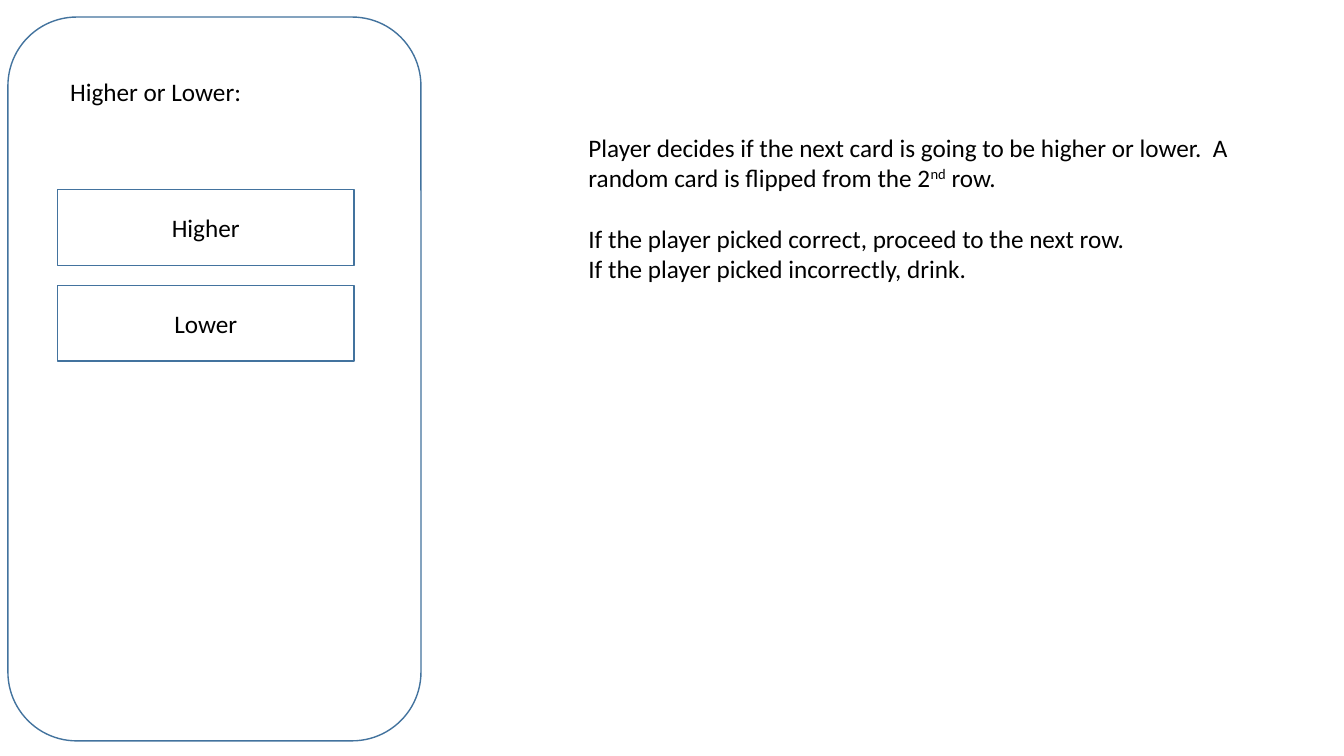
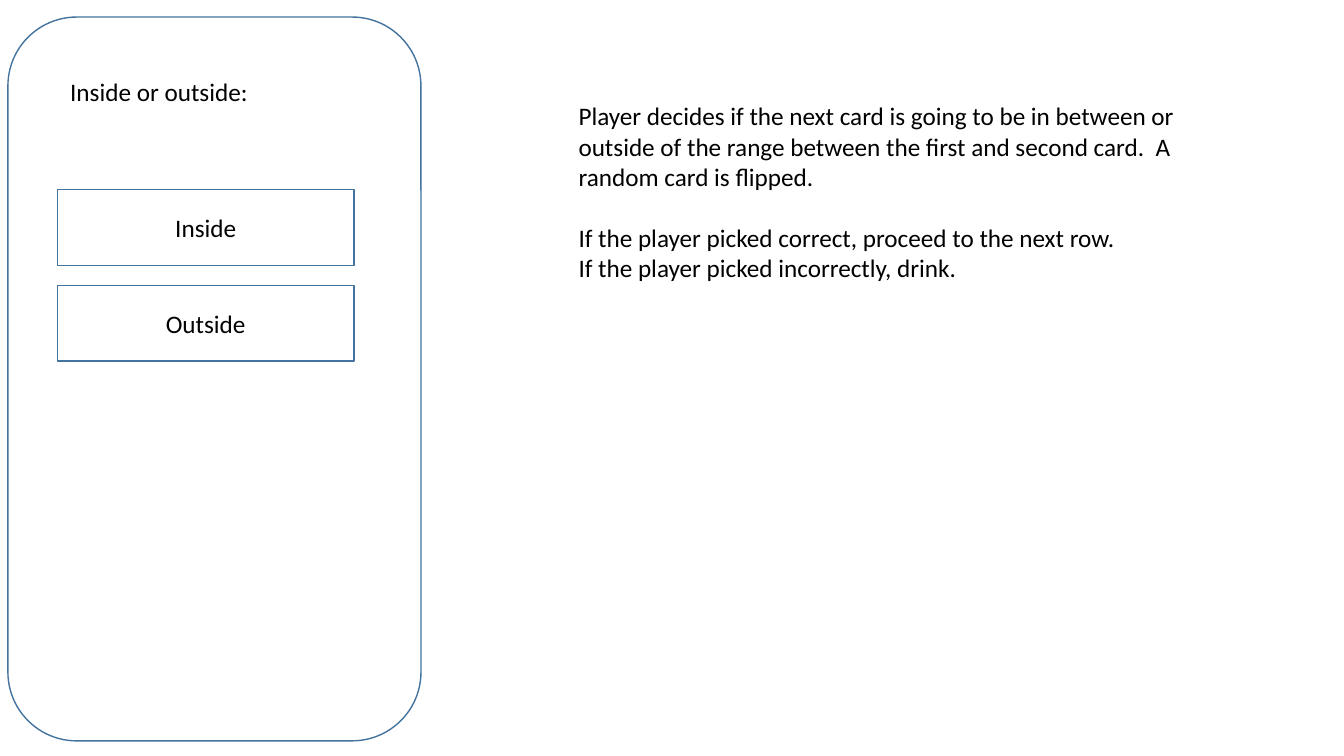
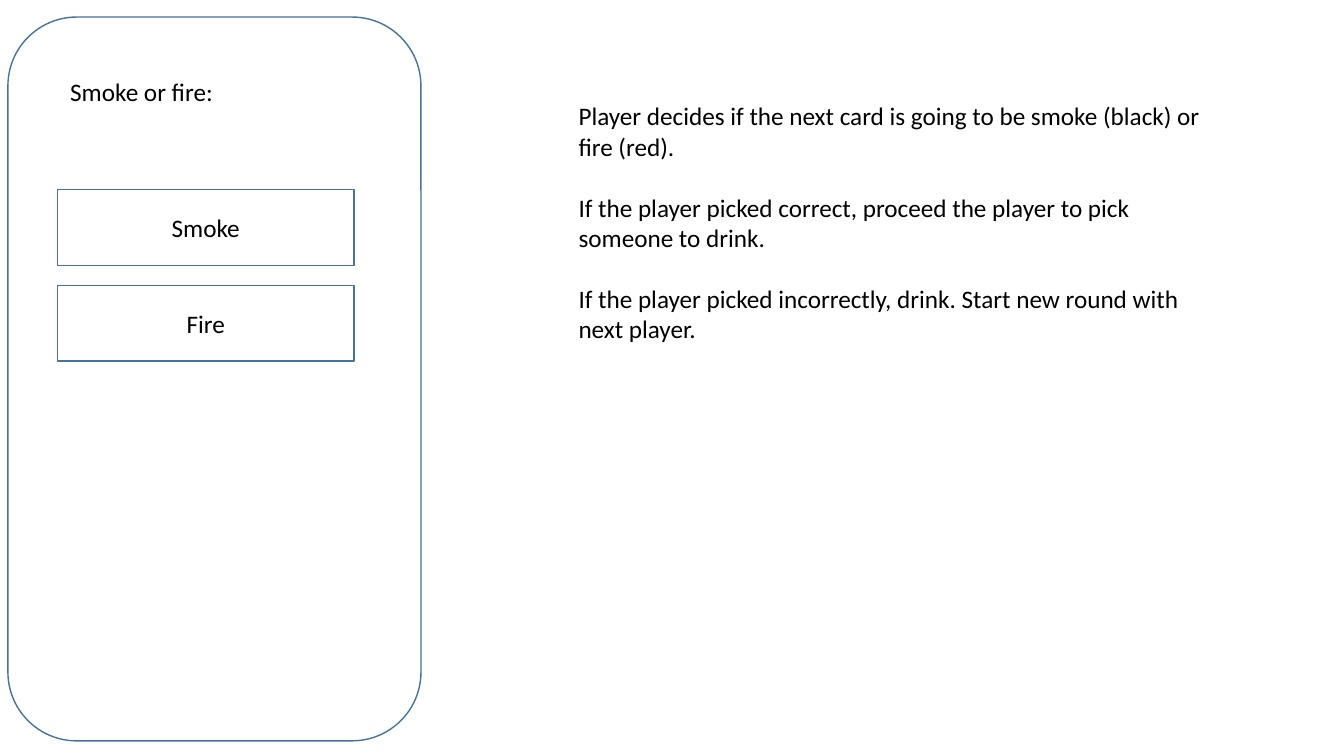
"""Build the card game screens, each with its rules beside it."""
from dataclasses import dataclass
from typing import NamedTuple

from pptx import Presentation
from pptx.dml.color import RGBColor
from pptx.enum import shapes, text
from pptx.util import Cm, Pt


@dataclass(frozen=True)
class Theme:
    font: str = "Calibri"
    size: float = 18
    paragraph_gap: float = 22
    superscript: str = "30000"
    outline_width: float = 1
    ink: RGBColor = RGBColor(0x00, 0x00, 0x00)
    outline: RGBColor = RGBColor(0x43, 0x73, 0x9E)


class Area(NamedTuple):
    left: float
    top: float
    width: float
    height: float


class Span(NamedTuple):
    words: str
    raised: bool = False


class Line(NamedTuple):
    spans: tuple[Span, ...]
    gap_before: bool = False


@dataclass(frozen=True)
class Screen:
    question: str
    choices: tuple[str, ...]
    rules_area: Area
    rules: tuple[Line, ...]


THEME = Theme()
PHONE = Area(0.2, 0.43, 10.41, 18.24)
QUESTION = Area(1.52, 1.8, 8.15, 1.02)
FIRST_BUTTON = Area(1.45, 4.78, 7.47, 1.91)
BUTTON_PITCH = 2.41


def plain(words: str, gap_before: bool = False) -> Line:
    """Make a line of one ordinary span."""
    return Line((Span(words),), gap_before)


NEXT_ROW_OR_DRINK = (
    plain("If the player picked correct, proceed to the next row.", True),
    plain("If the player picked incorrectly, drink."),
)

SCREENS = (
    Screen(
        "Higher or Lower:", ("Higher", "Lower"), Area(14.58, 3.2, 16.81, 4.11),
        (Line((
            Span("Player decides if the next card is going to be higher or lower.  "
                 "A random card is flipped from the 2"),
            Span("nd", raised=True),
            Span(" row."),
        )), *NEXT_ROW_OR_DRINK),
    ),
    Screen(
        "Inside or outside:", ("Inside", "Outside"), Area(14.33, 2.41, 16.64, 5.64),
        (plain("Player decides if the next card is going to be in between or outside "
               "of the range between the first and second card.  A random card is flipped."),
         *NEXT_ROW_OR_DRINK),
    ),
    Screen(
        "Smoke or fire:", ("Smoke", "Fire"), Area(14.33, 2.41, 16.64, 6.4),
        (plain("Player decides if the next card is going to be smoke (black) or fire (red)."),
         plain("If the player picked correct, proceed the player to pick someone to drink.", True),
         plain("If the player picked incorrectly, drink. Start new round with next player.", True)),
    ),
)


def place(area: Area) -> tuple[Cm, ...]:
    """Convert an area to slide lengths."""
    return tuple(Cm(length) for length in area)


def write(frame, lines: tuple[Line, ...], align=text.PP_ALIGN.LEFT) -> None:
    """Fill a text frame with lines, run by run."""
    frame.word_wrap = True
    for index, line in enumerate(lines):
        para = frame.add_paragraph() if index else frame.paragraphs[0]
        para.alignment = align
        if line.gap_before:
            para.space_before = Pt(THEME.paragraph_gap)
        for span in line.spans:
            run = para.add_run()
            run.text = span.words
            run.font.name = THEME.font
            run.font.size = Pt(THEME.size)
            run.font.color.rgb = THEME.ink
            if span.raised:
                run.font._element.set("baseline", THEME.superscript)


def add_outline(page, kind: shapes.MSO_SHAPE, area: Area):
    """Draw an unfilled shape with the theme outline."""
    shape = page.shapes.add_shape(kind, *place(area))
    shape.shadow.inherit = False
    shape.fill.background()
    shape.line.color.rgb = THEME.outline
    shape.line.width = Pt(THEME.outline_width)
    return shape


def add_text(page, area: Area, lines: tuple[Line, ...]) -> None:
    """Add a wrapped text box that grows with its lines."""
    box = page.shapes.add_textbox(*place(area))
    write(box.text_frame, lines)
    box.text_frame.auto_size = text.MSO_AUTO_SIZE.SHAPE_TO_FIT_TEXT


def add_button(page, area: Area, label: str) -> None:
    """Draw a button with a centred label."""
    button = add_outline(page, shapes.MSO_SHAPE.RECTANGLE, area)
    button.text_frame.vertical_anchor = text.MSO_ANCHOR.MIDDLE
    write(button.text_frame, (plain(label),), text.PP_ALIGN.CENTER)


def add_screen(deck, screen: Screen) -> None:
    """Add a page with the phone screen and its rules."""
    page = deck.slides.add_slide(deck.slide_layouts[6])
    add_outline(page, shapes.MSO_SHAPE.ROUNDED_RECTANGLE, PHONE)
    add_text(page, QUESTION, (plain(screen.question),))
    for row, choice in enumerate(screen.choices):
        top = FIRST_BUTTON.top + row * BUTTON_PITCH
        add_button(page, FIRST_BUTTON._replace(top=top), choice)
    add_text(page, screen.rules_area, screen.rules)


def main() -> None:
    """Build and save the deck."""
    deck = Presentation()
    deck.slide_width, deck.slide_height = Cm(33.87), Cm(19.05)
    for screen in SCREENS:
        add_screen(deck, screen)
    deck.save("out.pptx")


main()
